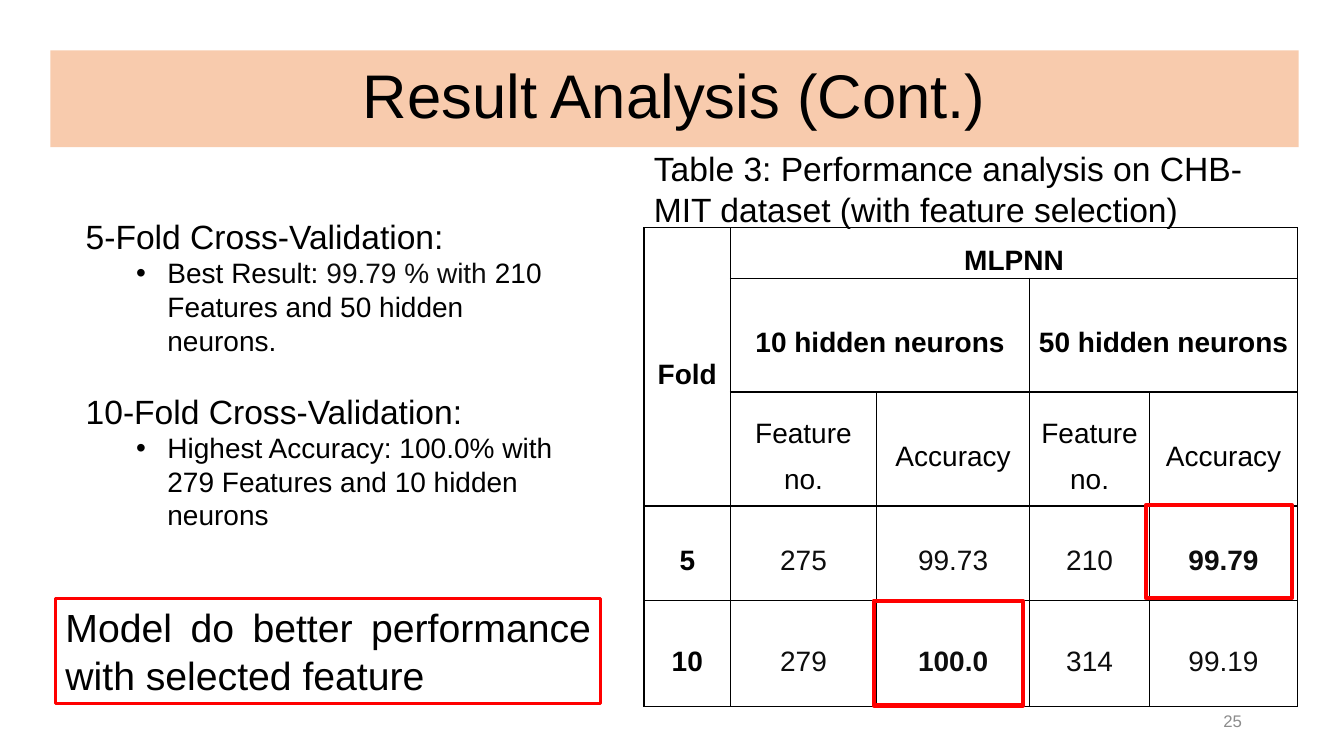
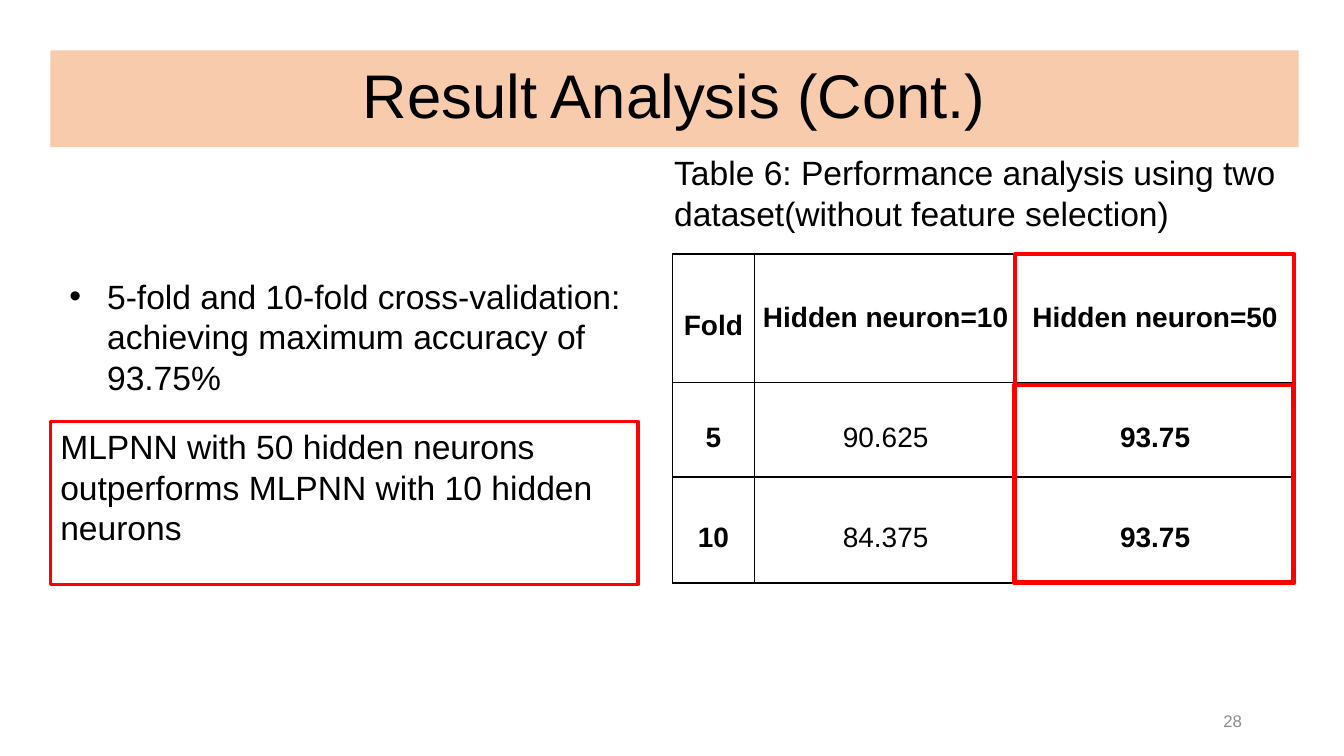
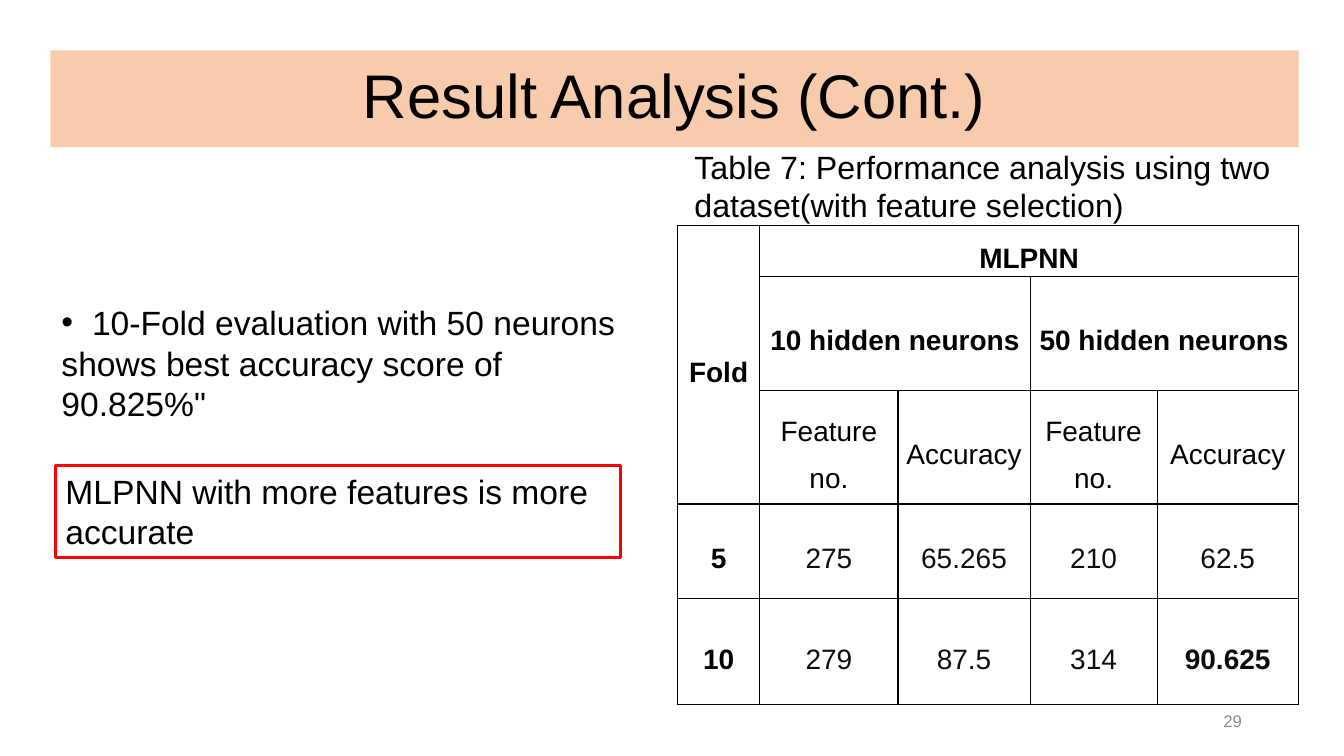
from lxml.etree import SubElement
from pptx import Presentation
from pptx.dml.color import RGBColor
from pptx.enum.shapes import MSO_SHAPE
from pptx.enum.text import MSO_ANCHOR, PP_ALIGN
from pptx.oxml.ns import qn
from pptx.util import Cm, Pt

# Shared look
FONT = "Arial"
BLACK = RGBColor(0x00, 0x00, 0x00)
INK = RGBColor(0x0D, 0x0D, 0x0D)
GREY = RGBColor(0x8C, 0x8C, 0x8C)
RED = RGBColor(0xFF, 0x00, 0x00)
PEACH = RGBColor(0xF8, 0xCB, 0xAD)
TITLE = "Result Analysis (Cont.)"
TITLE_BOX = (1.27, 1.27, 31.46, 2.44)
NUMBER_BOX = (23.93, 17.65, 7.62, 1.02)

# Table header shared by the feature selection tables
SELECTION_HEADER = [
    ["Fold", "MLPNN", "", "", ""],
    ["", "10 hidden neurons", "", "50 hidden neurons", ""],
    ["", "Feature no.", "Accuracy", "Feature no.", "Accuracy"],
]
SELECTION_LAYOUT = {
    "heights": [1.27, 2.87, 2.87, 2.39, 2.67],
    "spans": [(0, 0, 2, 0), (0, 1, 0, 4), (1, 1, 1, 2), (1, 3, 1, 4)],
    "header_rows": 3, "bold_rows": 2, "header_spacing": 1.5, "value_color": INK,
}

# Bullets are (left margin, hanging indent, tab stop) in centimetres
SUB_BULLET = (2.06, 0.79, None)
MAIN_BULLET = (0.95, 0.95, None)
FLUSH_BULLET = (0, 0, 0.77)

# Text lines are (runs with colours, size, bullet, space before)
SLIDES = [
    {
        "number": "25",
        "table": {
            **SELECTION_LAYOUT,
            "at": (16.23, 5.74),
            "widths": [2.18, 3.68, 3.86, 3.02, 3.73],
            "rows": SELECTION_HEADER + [
                ["5", "275", "99.73", "210", "99.79"],
                ["10", "279", "100.0", "314", "99.19"],
            ],
            "best": [(3, 4), (4, 2)],
        },
        "caption": ("Table 3: Performance analysis on CHB-MIT dataset (with feature selection)",
                    24, (16.23, 3.61, 15.95, 2.31)),
        "body_box": (1.91, 5.31, 12.6, 8.28),
        "body": [
            ([("5-Fold Cross-Validation:", BLACK)], 24, None, 0),
            ([("Best Result: ", BLACK), ("99.79 % with ", INK),
              ("210 Features and 50 hidden neurons.", BLACK)], 20, SUB_BULLET, 0),
            ([("10-Fold Cross-Validation:", BLACK)], 24, None, 24),
            ([("Highest Accuracy: 100.0% with 279 Features and 10 hidden neurons", BLACK)],
             20, SUB_BULLET, 0),
        ],
        "frames": [(28.88, 12.73, 3.68, 2.34), (22.02, 15.14, 3.76, 2.64)],
        "finding": ("Model do better performance with selected feature",
                    28, (1.4, 15.09, 13.74, 2.64), PP_ALIGN.JUSTIFY),
    },
    {
        "number": "28",
        "table": {
            "at": (16.94, 6.4),
            "widths": [2.08, 6.6, 6.98],
            "heights": [3.23, 2.39, 2.67],
            "spans": [],
            "header_rows": 1, "bold_rows": 1, "header_spacing": 1.0, "value_color": BLACK,
            "rows": [
                ["Fold", "Hidden neuron=10", "Hidden neuron=50"],
                ["5", "90.625", "93.75"],
                ["10", "84.375", "93.75"],
            ],
            "best": [(1, 2), (2, 2)],
        },
        "caption": ("Table 6: Performance analysis using two dataset(without feature selection)",
                    24, (16.74, 3.71, 15.95, 2.31)),
        "body_box": (1.5, 6.83, 14.78, 3.33),
        "body": [
            ([("5-fold and 10-fold cross-validation: achieving maximum accuracy of 93.75%", BLACK)],
             24, MAIN_BULLET, 0),
        ],
        "frames": [(25.58, 6.4, 7.04, 8.28), (25.55, 9.7, 7.04, 4.98)],
        "finding": ("MLPNN with 50 hidden neurons outperforms MLPNN with 10 hidden neurons",
                    24, (1.27, 10.62, 14.81, 4.11), PP_ALIGN.LEFT),
    },
    {
        "number": "29",
        "table": {
            **SELECTION_LAYOUT,
            "at": (17.07, 5.69),
            "widths": [2.08, 3.48, 3.33, 3.2, 3.56],
            "rows": SELECTION_HEADER + [
                ["5", "275", "65.265", "210", "62.5"],
                ["10", "279", "87.5", "314", "90.625"],
            ],
            "best": [(4, 4)],
        },
        "caption": ("Table 7: Performance analysis using two dataset(with feature selection)",
                    23, (17.25, 3.58, 15.49, 2.31)),
        "body_box": (1.3, 7.49, 14.55, 3.33),
        "body": [
            ([("\t10-Fold evaluation with 50 neurons shows best accuracy score of 90.825%\"", BLACK)],
             24, FLUSH_BULLET, 0),
        ],
        "frames": [],
        "finding": ("MLPNN with more features is more accurate",
                    24, (1.4, 11.73, 14.25, 2.31), PP_ALIGN.LEFT),
    },
]


def box(measures):
    return [Cm(value) for value in measures]


def set_font(paragraph, size, color=BLACK, bold=False):
    font = paragraph.font
    font.name, font.size, font.bold = FONT, Pt(size), bold
    font.color.rgb = color


def add_text(slide, text, size, measures, align=PP_ALIGN.LEFT, color=BLACK):
    shape = slide.shapes.add_textbox(*box(measures))
    shape.text_frame.word_wrap = True
    paragraph = shape.text_frame.paragraphs[0]
    paragraph.text = text
    paragraph.alignment = align
    set_font(paragraph, size, color)
    return shape


def add_title(slide):
    title = slide.shapes.title
    title.left, title.top, title.width, title.height = box(TITLE_BOX)
    title.fill.solid()
    title.fill.fore_color.rgb = PEACH
    title.text_frame.vertical_anchor = MSO_ANCHOR.MIDDLE
    paragraph = title.text_frame.paragraphs[0]
    paragraph.text = TITLE
    paragraph.alignment = PP_ALIGN.CENTER
    paragraph.line_spacing = 0.9
    set_font(paragraph, 44)


def add_bullet(paragraph, left, hanging, tab):
    properties = paragraph._p.get_or_add_pPr()
    properties.set("marL", str(Cm(left)))
    properties.set("indent", str(-Cm(hanging)))
    SubElement(properties, qn("a:buFont"), typeface=FONT)
    SubElement(properties, qn("a:buChar"), char="•")
    if tab:
        tabs = SubElement(properties, qn("a:tabLst"))
        SubElement(tabs, qn("a:tab"), pos=str(Cm(tab)), algn="l")


def add_body(slide, lines, measures):
    frame = slide.shapes.add_textbox(*box(measures)).text_frame
    frame.word_wrap = True
    for index, (runs, size, bullet, before) in enumerate(lines):
        paragraph = frame.add_paragraph() if index else frame.paragraphs[0]
        if bullet:
            add_bullet(paragraph, *bullet)
        if before:
            paragraph.space_before = Pt(before)
        set_font(paragraph, size)
        for text, color in runs:
            run = paragraph.add_run()
            run.text = text
            if color != BLACK:
                run.font.color.rgb = color


def add_borders(cell):
    properties = cell._tc.get_or_add_tcPr()
    for side in ("lnL", "lnR", "lnT", "lnB"):
        line = SubElement(properties, qn(f"a:{side}"), w=str(Pt(1)))
        fill = SubElement(line, qn("a:solidFill"))
        SubElement(fill, qn("a:srgbClr"), val=str(BLACK))


def add_results(slide, data):
    widths, heights, rows = data["widths"], data["heights"], data["rows"]
    measures = (*data["at"], sum(widths), sum(heights))
    table = slide.shapes.add_table(len(rows), len(widths), *box(measures)).table
    table.first_row = table.horz_banding = False
    for column, width in zip(table.columns, widths):
        column.width = Cm(width)
    for row, height in zip(table.rows, heights):
        row.height = Cm(height)
    for top, left, bottom, right in data["spans"]:
        table.cell(top, left).merge(table.cell(bottom, right))

    for r, values in enumerate(rows):
        for c, text in enumerate(values):
            cell = table.cell(r, c)
            add_borders(cell)
            cell.fill.background()
            cell.vertical_anchor = MSO_ANCHOR.MIDDLE
            cell.margin_left = cell.margin_right = Cm(0.17)
            cell.margin_top = cell.margin_bottom = 0
            is_header = r < data["header_rows"]
            is_bold = c == 0 or r < data["bold_rows"] or (r, c) in data["best"]
            paragraph = cell.text_frame.paragraphs[0]
            paragraph.text = text
            paragraph.alignment = PP_ALIGN.CENTER
            paragraph.line_spacing = data["header_spacing"] if is_header and c else 1.5
            set_font(paragraph, 20, BLACK if is_header or c == 0 else data["value_color"], is_bold)


def outline(shape, width):
    shape.line.color.rgb = RED
    shape.line.width = Pt(width)


def add_frame(slide, measures):
    shape = slide.shapes.add_shape(MSO_SHAPE.RECTANGLE, *box(measures))
    shape.shadow.inherit = False
    shape.fill.background()
    outline(shape, 3)


def main():
    presentation = Presentation()
    presentation.slide_width, presentation.slide_height = Cm(33.87), Cm(19.05)
    for content in SLIDES:
        slide = presentation.slides.add_slide(presentation.slide_layouts[5])
        add_title(slide)
        add_results(slide, content["table"])
        add_text(slide, *content["caption"])
        add_body(slide, content["body"], content["body_box"])
        number = add_text(slide, content["number"], 12, NUMBER_BOX, PP_ALIGN.RIGHT, GREY)
        number.text_frame.vertical_anchor = MSO_ANCHOR.MIDDLE
        for measures in content["frames"]:
            add_frame(slide, measures)
        outline(add_text(slide, *content["finding"]), 2.25)
    presentation.save("out.pptx")


if __name__ == "__main__":
    main()
